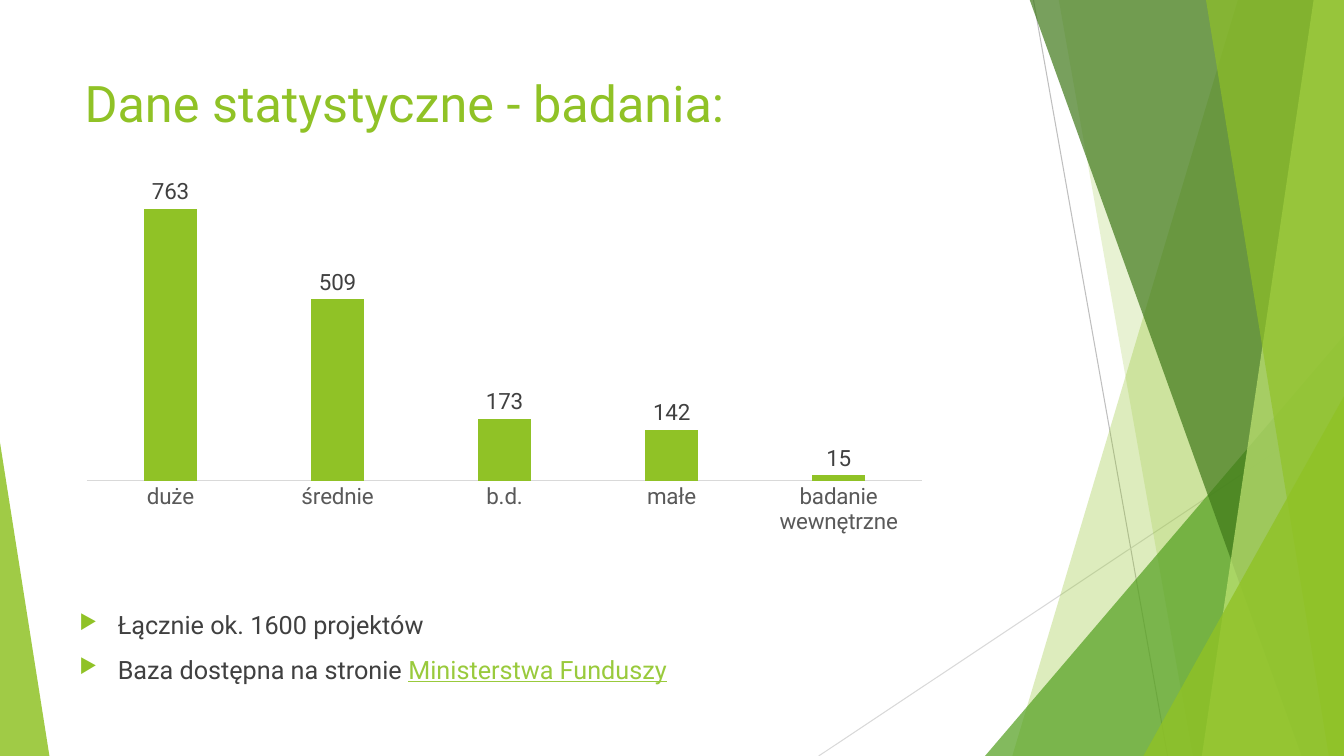
from lxml import etree
from pptx import Presentation
from pptx.chart.data import CategoryChartData
from pptx.dml.color import RGBColor
from pptx.enum import chart as charts, shapes, text
from pptx.oxml import parse_xml
from pptx.oxml.ns import nsdecls, qn
from pptx.util import Inches, Pt

TITLE = "Dane statystyczne - badania:"
PROJECTS = {"duże": 763, "średnie": 509, "b.d.": 173, "małe": 142, "badanie wewnętrzne": 15}
BULLETS = [
    [("Łącznie ok. 1600 projektów", "body")],
    [("Baza dostępna na stronie ", "body"), ("Ministerstwa Funduszy", "link")],
]

THEME = {
    "font": "Roboto",
    "color": {"accent": "90C226", "body": "404040", "link": "99CA3C", "axis_text": "595959",
              "axis": "D9D9D9", "ray": "BFBFBF", "leaf": "54A021", "forest": "3F7819",
              "lime": "C0E474"},
    "size": {"title": 36, "body": 18, "chart": 16},
}

WIDTH, HEIGHT, BLEED = 13.33, 7.5, -0.01
RAYS = [((10.25, 0), (11.58, HEIGHT), "ray"), ((WIDTH, 4.03), (8.12, HEIGHT), "axis")]
# Bands reach the right edge: (top left x, bottom left x, colour, opacity %)
# Corners stand on the bottom edge: (left, top, width, apex position, colour, opacity %)
FACETS = [
    ("band", 12.28, 10.04, "accent", 30),
    ("band", 10.5, 11.83, "accent", 20),
    ("corner", 9.77, 3.33, 3.56, 1, "leaf", 72),
    ("band", 10.21, 12.91, "forest", 70),
    ("band", 13.03, 11.92, "lime", 70),
    ("band", 11.96, 13.18, "accent", 65),
    ("corner", 11.34, 3.93, 1.99, 1, "accent", 80),
    ("corner", 0, 4.39, 0.49, 0, "accent", 85),
]
TITLE_BOX = (0.74, 0.67, 9.4, 1.44)
CHART_BOX = (0.69, 1.51, 8.63, 3.88)
BODY_BOX = (0.69, 6, 9.4, 1.22)
PLOT_LAYOUT = {"x": 0.02, "y": 0.02, "w": 0.96, "h": 0.82}


def rgb(name):
    return RGBColor.from_string(THEME["color"][name])


def inches(values):
    return [Inches(value) for value in values]


def style_font(font, size, color, **extra):
    values = {"name": THEME["font"], "size": Pt(THEME["size"][size]), **extra}
    for name, value in values.items():
        setattr(font, name, value)
    font.color.rgb = rgb(color)


def add_ray(page, start, end, color):
    ray = page.shapes.add_connector(shapes.MSO_CONNECTOR.STRAIGHT, *inches(start + end))
    ray.line.color.rgb = rgb(color)
    ray.line.width = Pt(0.75)
    etree.SubElement(ray.line._get_or_add_ln().getparent(), qn("a:effectLst"))


def add_band(page, top_x, bottom_x):
    corners = [(WIDTH, BLEED), (WIDTH, HEIGHT), (bottom_x, HEIGHT)]
    builder = page.shapes.build_freeform(Inches(top_x), Inches(BLEED))
    builder.add_line_segments([inches(corner) for corner in corners], close=True)
    return builder.convert_to_shape()


def add_corner(page, left, top, width, apex):
    corner = page.shapes.add_shape(shapes.MSO_SHAPE.ISOSCELES_TRIANGLE,
                                   *inches((left, top, width, HEIGHT - top)))
    corner.adjustments[0] = apex
    return corner


def add_facet(page, kind, *values):
    *geometry, color, opacity = values
    facet = {"band": add_band, "corner": add_corner}[kind](page, *geometry)
    facet.shadow.inherit = False
    facet.line.fill.background()
    facet.fill.solid()
    facet.fill.fore_color.rgb = rgb(color)
    tint = facet.fill._xPr.find(".//" + qn("a:srgbClr"))
    etree.SubElement(tint, qn("a:alpha"), val=str(opacity * 1000))


def add_text_frame(page, place):
    frame = page.shapes.add_textbox(*inches(place)).text_frame
    frame.word_wrap = True
    frame.vertical_anchor = text.MSO_ANCHOR.TOP
    return frame


def add_span(para, words, size, color, **extra):
    span = para.add_run()
    span.text = words
    style_font(span.font, size, color, **extra)


def add_bullet(para):
    props = para._p.get_or_add_pPr()
    indent = Inches(0.38)
    props.set("marL", str(indent))
    props.set("indent", str(-indent))
    color = etree.SubElement(props, qn("a:buClr"))
    etree.SubElement(color, qn("a:srgbClr"), val=THEME["color"]["accent"])
    etree.SubElement(props, qn("a:buSzPct"), val="80000")
    etree.SubElement(props, qn("a:buChar"), char="▶")


def add_bullets(page):
    frame = add_text_frame(page, BODY_BOX)
    for number, spans in enumerate(BULLETS):
        para = frame.add_paragraph() if number else frame.paragraphs[0]
        add_bullet(para)
        para.space_before = Pt(10 if number else 0)
        for words, color in spans:
            add_span(para, words, "body", color, underline=color == "link")


def add_project_chart(page):
    data = CategoryChartData()
    data.categories = PROJECTS.keys()
    data.add_series("Series 1", PROJECTS.values())
    chart = page.shapes.add_chart(charts.XL_CHART_TYPE.COLUMN_CLUSTERED,
                                  *inches(CHART_BOX), data).chart
    chart.has_legend = chart.has_title = False
    style_font(chart.font, "chart", "axis_text")

    value_axis = chart.value_axis
    for name, value in {"visible": False, "has_major_gridlines": False,
                        "minimum_scale": 0, "maximum_scale": 900}.items():
        setattr(value_axis, name, value)
    axis = chart.category_axis
    axis.major_tick_mark = axis.minor_tick_mark = charts.XL_TICK_MARK.NONE
    axis.format.line.color.rgb = rgb("axis")
    axis.format.line.width = Pt(0.75)
    style_font(axis.tick_labels.font, "chart", "axis_text")

    plot = chart.plots[0]
    for name, value in {"gap_width": 219, "overlap": -27, "vary_by_categories": False}.items():
        setattr(plot, name, value)
    series = plot.series[0]
    series.format.fill.solid()
    series.format.fill.fore_color.rgb = rgb("accent")
    labels = series.data_labels
    labels.show_value = True
    labels.position = charts.XL_LABEL_POSITION.OUTSIDE_END
    style_font(labels.font, "chart", "body")

    modes = "".join(f'<c:{side}Mode val="edge"/>' for side in "xy")
    sizes = "".join(f'<c:{side} val="{value}"/>' for side, value in PLOT_LAYOUT.items())
    layout = parse_xml(f'<c:layout {nsdecls("c")}><c:manualLayout><c:layoutTarget val="inner"/>'
                       f"{modes}{sizes}</c:manualLayout></c:layout>")
    area = chart.element.find(".//" + qn("c:plotArea"))
    for automatic in area.findall(qn("c:layout")):
        area.remove(automatic)
    area.insert(0, layout)


def main():
    deck = Presentation()
    deck.slide_width, deck.slide_height = inches((WIDTH, HEIGHT))
    page = deck.slides.add_slide(deck.slide_layouts[6])
    for ray in RAYS:
        add_ray(page, *ray)
    for facet in FACETS:
        add_facet(page, *facet)
    add_span(add_text_frame(page, TITLE_BOX).paragraphs[0], TITLE, "title", "accent")
    add_bullets(page)
    add_project_chart(page)
    deck.save("out.pptx")


if __name__ == "__main__":
    main()
